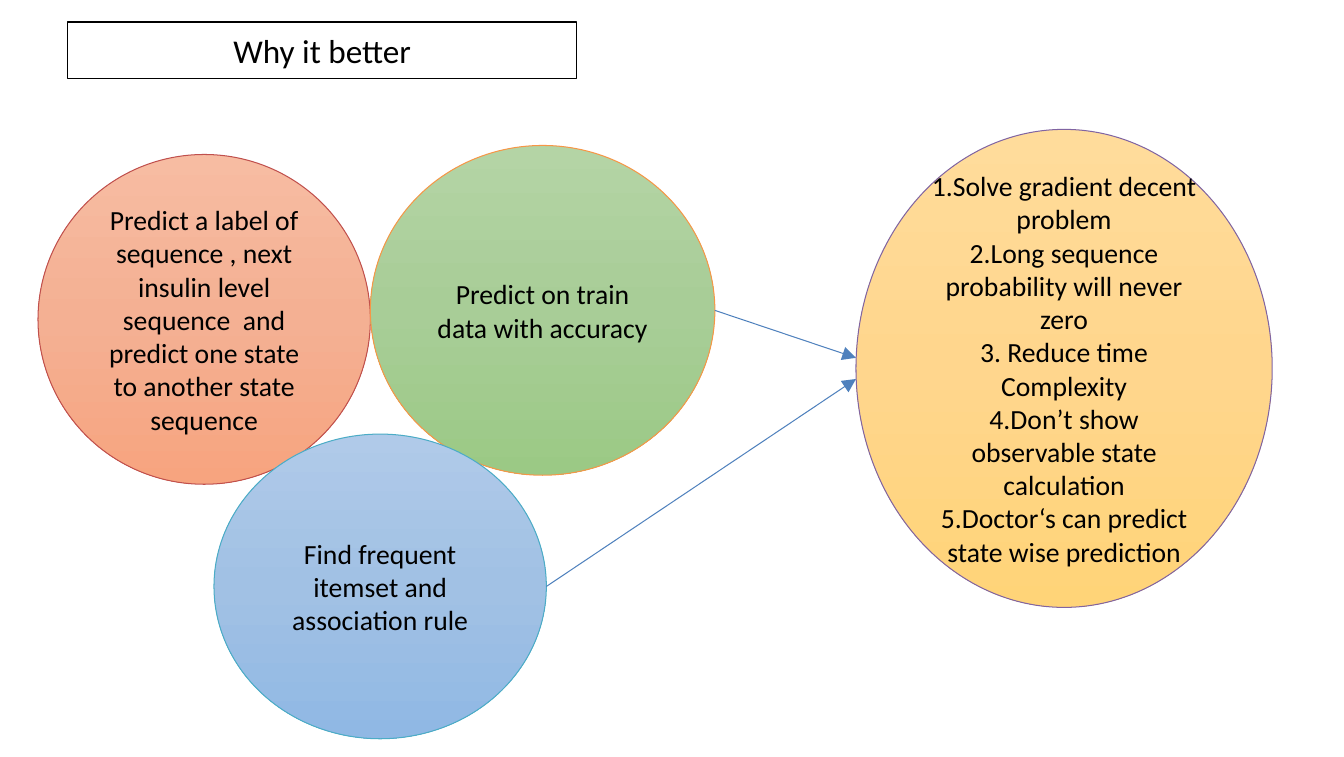
import copy
from dataclasses import dataclass

import pptx
import pptx.dml.color
import pptx.enum.shapes
import pptx.enum.text
import pptx.oxml
import pptx.oxml.ns
import pptx.util
from pptx.util import Cm

CM_PER_INCH = 2.54
SLIDE_WIDTH = 13.5 * CM_PER_INCH
SLIDE_HEIGHT = 7.6 * CM_PER_INCH
FONT = "Calibri"
COLORS = {
    "text": "000000",
    "paper": "FFFFFF",
    "arrow": "4F81BD",
    "red line": "C0504D",
    "orange line": "F79646",
    "aqua line": "4BACC6",
    "purple line": "8064A2",
}
GRADIENTS = {
    "salmon": ("F7BCA2", "F4B093", "F7A47F"),
    "green": ("B4D4A5", "A8CD97", "9BC985"),
    "blue": ("B0CAE9", "A1C1E4", "90B8E4"),
    "gold": ("FFDC9B", "FFD68D", "FFD478"),
}


@dataclass(frozen=True)
class Bubble:
    left: float
    top: float
    width: float
    height: float
    gradient: str
    line: str
    lines: tuple[str, ...]

    @property
    def right(self) -> float:
        return self.left + self.width

    @property
    def middle(self) -> float:
        return self.top + self.height / 2


LABEL = Bubble(0.97, 3.94, 8.48, 8.41, "salmon", "red line", (
    "Predict a label of sequence , next insulin level sequence  and "
    "predict one state to another state sequence",
))
ACCURACY = Bubble(9.45, 3.71, 8.79, 8.41, "green", "orange line", (
    "Predict on train data with accuracy",
))
ITEMSET = Bubble(5.46, 11.07, 8.48, 7.77, "blue", "aqua line", (
    "Find frequent itemset and association rule",
))
BENEFITS = Bubble(21.84, 3.3, 10.62, 12.19, "gold", "purple line", (
    "1.Solve gradient decent problem",
    "2.Long sequence probability will never zero",
    "3. Reduce time Complexity",
    "4.Don’t show observable state calculation",
    "5.Doctor‘s can predict state wise prediction",
))
ARROW_OFFSET = 0.27  # arrows land just above and below the middle of BENEFITS


def rgb(value: str) -> pptx.dml.color.RGBColor:
    return pptx.dml.color.RGBColor.from_string(value)


def style_shape(shape, line: str, line_width: float) -> None:
    shape.shadow.inherit = False
    shape.line.color.rgb = rgb(COLORS[line])
    shape.line.width = pptx.util.Pt(line_width)


def write_text(shape, lines: tuple[str, ...], size: int) -> None:
    frame = shape.text_frame
    frame.word_wrap = True
    frame.vertical_anchor = pptx.enum.text.MSO_ANCHOR.MIDDLE
    frame.text = "\n".join(lines)
    for paragraph in frame.paragraphs:
        paragraph.alignment = pptx.enum.text.PP_ALIGN.CENTER
        paragraph.font.name = FONT
        paragraph.font.size = pptx.util.Pt(size)
        paragraph.font.color.rgb = rgb(COLORS["text"])


def fill_gradient(shape, colors: tuple[str, str, str]) -> None:
    shape.fill.gradient()
    shape.fill.gradient_angle = 270
    # The default gradient has two stops; add one halfway
    stop_list = next(shape._element.iter(pptx.oxml.ns.qn("a:gsLst")))
    stop_list.insert(1, copy.deepcopy(stop_list[0]))
    stop_list[1].set("pos", "50000")
    for stop, color in zip(shape.fill.gradient_stops, colors):
        stop.color.rgb = rgb(color)


def draw_bubble(slide, bubble: Bubble) -> None:
    shape = slide.shapes.add_shape(
        pptx.enum.shapes.MSO_SHAPE.FLOWCHART_CONNECTOR,
        Cm(bubble.left), Cm(bubble.top), Cm(bubble.width), Cm(bubble.height))
    style_shape(shape, bubble.line, 0.75)
    fill_gradient(shape, GRADIENTS[bubble.gradient])
    write_text(shape, bubble.lines, 20)


def draw_arrow(slide, source: Bubble, target: Bubble, offset: float) -> None:
    connector = slide.shapes.add_connector(
        pptx.enum.shapes.MSO_CONNECTOR.STRAIGHT,
        Cm(source.right), Cm(source.middle),
        Cm(target.left), Cm(target.middle + offset))
    connector.line.color.rgb = rgb(COLORS["arrow"])
    connector.line.width = pptx.util.Pt(0.75)
    properties = connector._element.spPr
    head = pptx.oxml.parse_xml(
        f'<a:tailEnd {pptx.oxml.ns.nsdecls("a")} type="triangle" w="lg" len="lg"/>')
    properties.find(pptx.oxml.ns.qn("a:ln")).append(head)
    properties.append(pptx.oxml.parse_xml(
        f'<a:effectLst {pptx.oxml.ns.nsdecls("a")}/>'))


def draw_title(slide) -> None:
    shape = slide.shapes.add_shape(
        pptx.enum.shapes.MSO_SHAPE.RECTANGLE,
        Cm(1.73), Cm(0.56), Cm(12.98), Cm(1.45))
    style_shape(shape, "text", 1)
    shape.fill.solid()
    shape.fill.fore_color.rgb = rgb(COLORS["paper"])
    write_text(shape, ("Why it better",), 24)


def main() -> None:
    presentation = pptx.Presentation()
    presentation.slide_width = Cm(SLIDE_WIDTH)
    presentation.slide_height = Cm(SLIDE_HEIGHT)
    slide = presentation.slides.add_slide(presentation.slide_layouts[6])

    # Methods on the left
    for bubble in (LABEL, ACCURACY, ITEMSET):
        draw_bubble(slide, bubble)

    # Arrows to the benefits on the right
    draw_arrow(slide, ACCURACY, BENEFITS, -ARROW_OFFSET)
    draw_arrow(slide, ITEMSET, BENEFITS, ARROW_OFFSET)
    draw_bubble(slide, BENEFITS)

    # Title box
    draw_title(slide)

    presentation.save("out.pptx")


if __name__ == "__main__":
    main()
